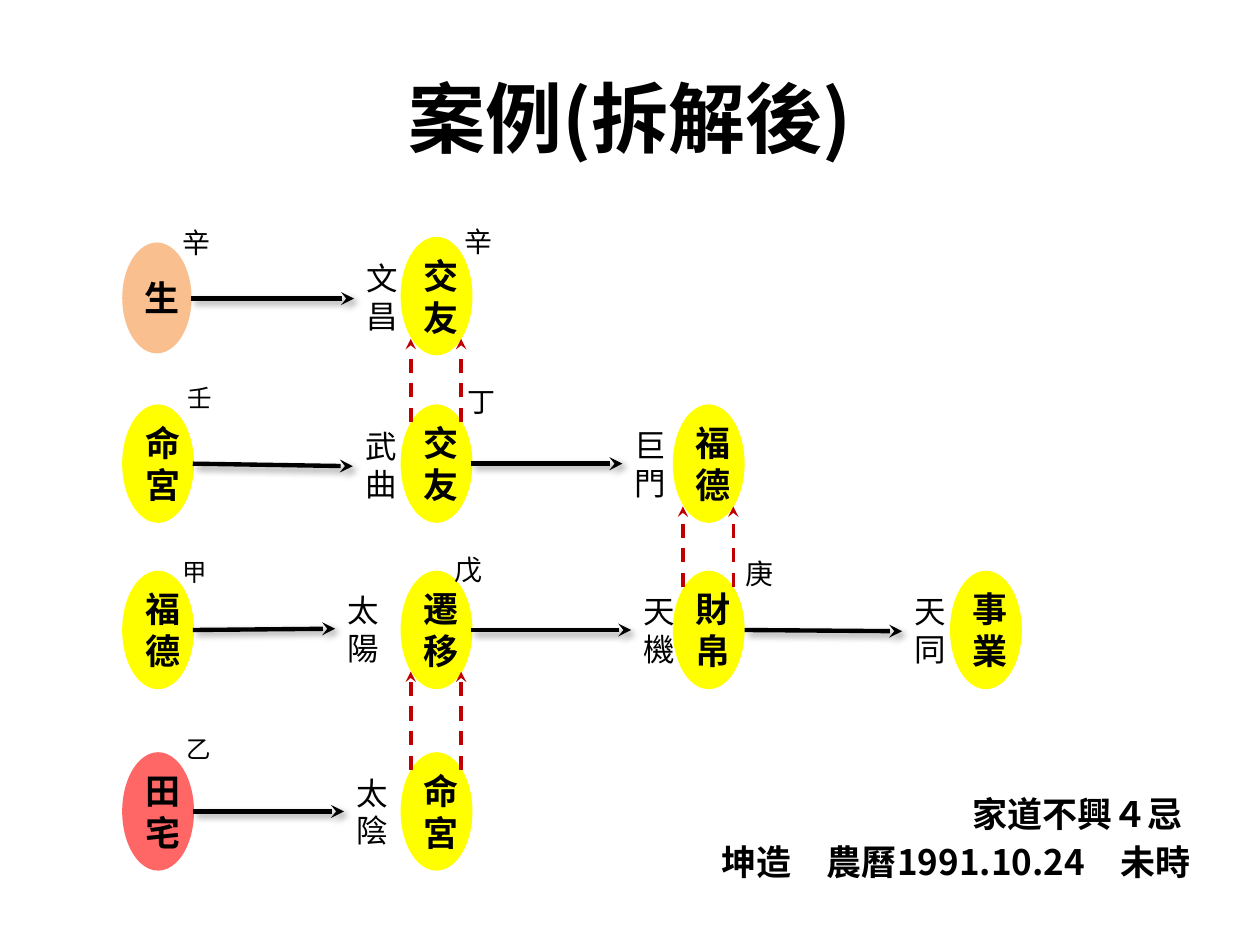
import pptx
import pptx.dml.color
import pptx.enum.dml
import pptx.enum.shapes
import pptx.enum.text
import pptx.oxml
import pptx.oxml.ns
import pptx.util
from dataclasses import dataclass
from pptx.util import Inches

DRAWING = 'xmlns:a="http://schemas.openxmlformats.org/drawingml/2006/main"'
TC, SC, ARIAL = "Noto Sans CJK TC", "Noto Sans CJK SC", "Arial"


@dataclass
class Theme:
    text: str = "000000"
    arrow: str = "000000"
    link: str = "C00000"
    palace: str = "FFFF00"
    birth: str = "FABF8E"
    property: str = "FF0000"
    title_size: int = 44
    palace_size: int = 20
    star_size: int = 18
    stem_size: int = 16
    small_stem_size: int = 14


theme = Theme()
color = pptx.dml.color.RGBColor.from_string


def write_text(shape, text, size, font=TC, bold=False, centred=False):
    frame = shape.text_frame
    frame.word_wrap = True
    frame.text = text
    for paragraph in frame.paragraphs:
        if centred:
            paragraph.alignment = pptx.enum.text.PP_ALIGN.CENTER
        paragraph.font.size = pptx.util.Pt(size)
        paragraph.font.bold = bold
        paragraph.font.color.rgb = color(theme.text)
        paragraph.font.name = font
        # East Asian characters take their font from a:ea
        defaults = paragraph._p.pPr.find(pptx.oxml.ns.qn("a:defRPr"))
        defaults.append(pptx.oxml.parse_xml(f'<a:ea {DRAWING} typeface="{font}"/>'))


def draw_arrow(start, end, line_color, width, dashed=False):
    connector = slide.shapes.add_connector(
        pptx.enum.shapes.MSO_CONNECTOR.STRAIGHT,
        *(Inches(value) for value in (*start, *end)))
    connector.line.color.rgb = color(line_color)
    connector.line.width = pptx.util.Pt(width)
    if dashed:
        connector.line.dash_style = pptx.enum.dml.MSO_LINE.DASH
    connector.line._get_or_add_ln().append(
        pptx.oxml.parse_xml(f'<a:tailEnd {DRAWING} type="stealth"/>'))
    # Solid arrows cast a soft shadow, dashed ones none
    shadow = "" if dashed else (
        '<a:outerShdw blurRad="50800" dist="38100" dir="2700000" algn="tl" rotWithShape="0">'
        '<a:srgbClr val="000000"><a:alpha val="40000"/></a:srgbClr></a:outerShdw>')
    connector._element.spPr.append(
        pptx.oxml.parse_xml(f"<a:effectLst {DRAWING}>{shadow}</a:effectLst>"))


presentation = pptx.Presentation()
presentation.slide_width, presentation.slide_height = Inches(10), Inches(7.5)
slide = presentation.slides.add_slide(presentation.slide_layouts[5])

# Title
title = slide.shapes.title
title.left, title.top, title.width, title.height = (
    Inches(value) for value in (0.5, 0.3, 9, 1.25))
title.text_frame.vertical_anchor = pptx.enum.text.MSO_ANCHOR.MIDDLE
write_text(title, "案例(拆解後)", theme.title_size, bold=True, centred=True)

# Palaces on a grid: column, row, name, fill
columns = [0.97, 3.18, 5.34, 7.54]
rows = [1.88, 3.21, 4.53, 5.97]
width, height = 0.57, 0.94
palaces = [
    (0, 0, "生", theme.birth), (1, 0, "交友", theme.palace),
    (0, 1, "命宮", theme.palace), (1, 1, "交友", theme.palace), (2, 1, "福德", theme.palace),
    (0, 2, "福德", theme.palace), (1, 2, "遷移", theme.palace),
    (2, 2, "財帛", theme.palace), (3, 2, "事業", theme.palace),
    (0, 3, "田\n宅", theme.property), (1, 3, "命宮", theme.palace),
]
for column, row, name, fill in palaces:
    # The birth oval is slightly smaller than the palaces
    inset = 0.03 if fill == theme.birth else 0
    oval = slide.shapes.add_shape(
        pptx.enum.shapes.MSO_SHAPE.OVAL,
        Inches(columns[column]), Inches(rows[row] + 1.5 * inset),
        Inches(width - inset / 1.5), Inches(height - 2 * inset))
    oval.shadow.inherit = False
    oval.line.fill.background()
    oval.fill.solid()
    oval.fill.fore_color.rgb = color(fill)
    if fill == theme.property:
        rgb = oval._element.spPr.find(".//" + pptx.oxml.ns.qn("a:srgbClr"))
        rgb.append(pptx.oxml.parse_xml(f'<a:alpha {DRAWING} val="60000"/>'))
    oval.text_frame.vertical_anchor = pptx.enum.text.MSO_ANCHOR.MIDDLE
    write_text(oval, name, theme.palace_size, bold=True, centred=True)

# Flying arrows from each palace to its star
for start, end in [
    ((1.52, 2.37), (2.81, 2.37)),
    ((1.53, 3.68), (2.8, 3.7)), ((3.74, 3.68), (4.94, 3.68)),
    ((1.53, 5), (2.66, 4.99)), ((3.74, 5), (5.01, 5)), ((5.91, 5), (7.16, 5.01)),
    ((1.53, 6.44), (2.73, 6.44)),
]:
    draw_arrow(start, end, theme.arrow, 2.5)

# Paired dashed links up to the opposite palace
for column, bottom, top in [(1, 3.35, 2.69), (2, 4.66, 4.02), (1, 6.11, 5.33)]:
    for offset in (0.08, 0.48):
        x = columns[column] + offset
        draw_arrow((x, bottom), (x, top), theme.link, 2, dashed=True)

# Labels: left, top, width, height, text, size, font, bold
star = (0.42, 0.71)
stem = (0.42, 0.37)
small_stem = (0.42, 0.34)
labels = [
    (2.81, 2.01, *star, "文昌", theme.star_size, TC, False),
    (2.8, 3.34, *star, "武曲", theme.star_size, TC, False),
    (4.94, 3.33, *star, "巨門", theme.star_size, SC, False),
    (2.66, 4.64, *star, "太陽", theme.star_size, TC, False),
    (5.01, 4.65, *star, "天機", theme.star_size, TC, False),
    (7.16, 4.65, *star, "天同", theme.star_size, SC, False),
    (2.73, 6.09, *star, "太陰", theme.star_size, TC, False),
    (1.35, 1.74, *stem, "辛", theme.stem_size, TC, False),
    (3.59, 1.73, *stem, "辛", theme.stem_size, TC, False),
    (3.61, 3, *stem, "丁", theme.stem_size, TC, False),
    (3.51, 4.34, *stem, "戊", theme.stem_size, TC, False),
    (5.82, 4.37, *stem, "庚", theme.stem_size, SC, False),
    (1.39, 2.99, *small_stem, "壬", theme.small_stem_size, ARIAL, False),
    (1.35, 4.37, *small_stem, "甲", theme.small_stem_size, ARIAL, False),
    (1.38, 5.78, *small_stem, "乙", theme.small_stem_size, ARIAL, False),
    (7.62, 6.24, 1.92, 0.44, "家道不興４忌", theme.palace_size, TC, True),
    (5.63, 6.62, 3.94, 0.44, "坤造　農曆1991.10.24　未時", theme.palace_size, TC, True),
]
for *box, text, size, font, bold in labels:
    label = slide.shapes.add_textbox(*(Inches(value) for value in box))
    write_text(label, text, size, font, bold)
    label.text_frame.auto_size = pptx.enum.text.MSO_AUTO_SIZE.SHAPE_TO_FIT_TEXT

presentation.save("out.pptx")
